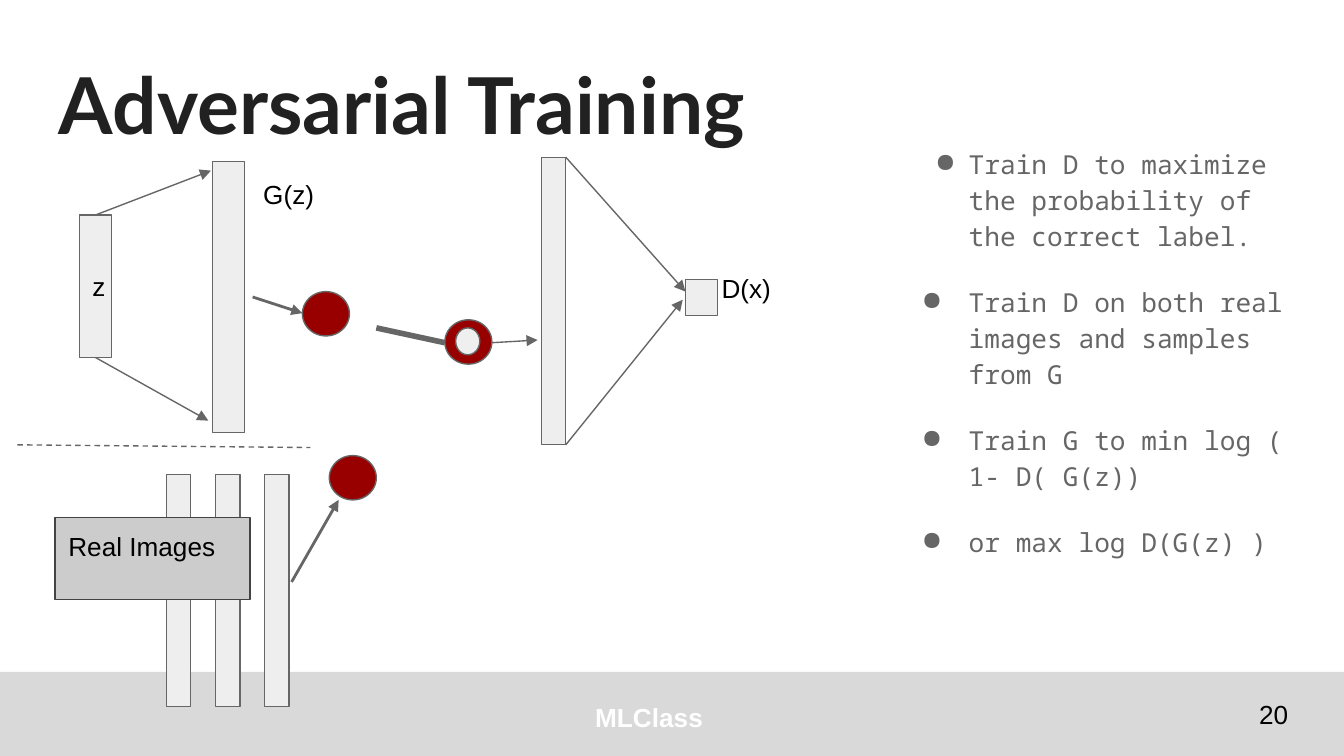
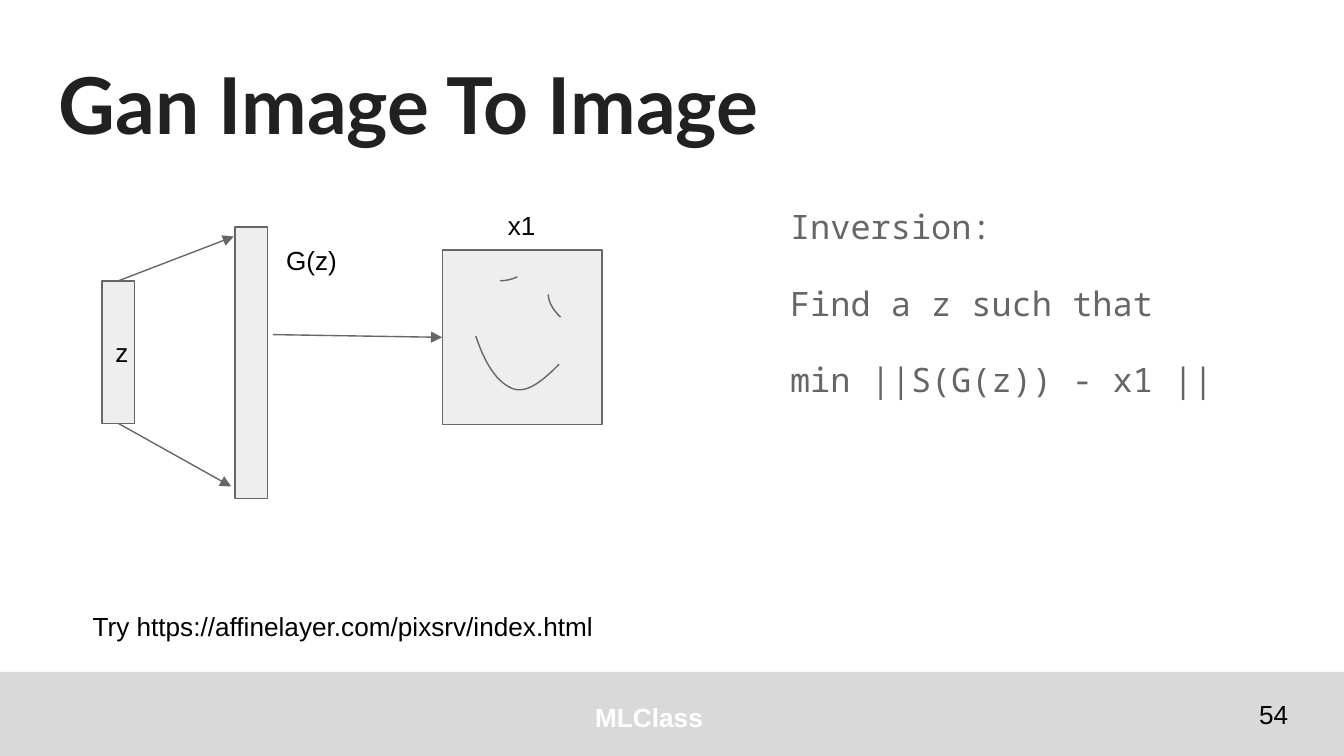
"""Build two slides on adversarial networks."""
from dataclasses import dataclass

from lxml.etree import SubElement as Sub
from pptx import Presentation
from pptx.dml.color import RGBColor as RGB
from pptx.enum.dml import MSO_LINE as Dash
from pptx.enum.shapes import MSO_CONNECTOR as Link, MSO_SHAPE as Kind
from pptx.enum.text import MSO_ANCHOR as Anchor, PP_ALIGN as Align
from pptx.oxml.ns import qn
from pptx.util import Emu, Pt

UNIT = 4572
PAD = 20


@dataclass(frozen=True)
class Theme:
    """Colours, fonts and type sizes."""
    band: str = "D9D9D9"
    white: str = "FFFFFF"
    black: str = "000000"
    head: str = "212121"
    gray: str = "666666"
    edge: str = "434343"
    pale: str = "EEEEEE"
    light: str = "EFEFEF"
    tag: str = "CCCCCC"
    red: str = "980000"
    sans: str = "Arial"
    bold: str = "Lato"
    mono: str = "Noto Sans Mono"
    small: int = 14
    large: int = 18
    huge: int = 42


def px(n):
    """Turn px into EMU."""
    return Emu(n * UNIT)


class Deck:
    """Hold the style and the current slide."""

    def __init__(self, theme):
        """Start a deck."""
        self.theme = theme
        self.file = Presentation()
        self.file.slide_width, self.file.slide_height = px(2000), px(1125)
        self.slide = None

    def page(self, title, num):
        """Add a slide with its band, title and number."""
        t = self.theme
        self.slide = self.file.slides.add_slide(self.file.slide_layouts[6])
        self.box(0, 1000, 2000, 125, fill=t.band, edge=None)
        self.text(800, 1024, 332, 80, "MLClass", color=t.white, bold=True, align=Align.CENTER)
        self.text(68, 64, 1864, 176, title, t.huge, t.bold, t.head, bold=True)
        self.text(1854, 1020, 120, 86, num, anchor=Anchor.MIDDLE)

    def frame(self, shape, anchor=Anchor.TOP):
        """Set the insets and return the text frame."""
        frame = shape.text_frame
        frame.word_wrap = True
        frame.vertical_anchor = anchor
        frame.margin_left = frame.margin_right = px(PAD)
        frame.margin_top = frame.margin_bottom = px(PAD)
        return frame

    def run(self, para, words, size=None, face=None, color=None, bold=False):
        """Add one styled run."""
        t = self.theme
        run = para.add_run()
        run.text = words
        run.font.size = Pt(size or t.small)
        run.font.name = face or t.sans
        run.font.bold = bold
        run.font.color.rgb = RGB.from_string(color or t.black)

    def text(self, x, y, w, h, words, size=None, face=None, color=None,
             bold=False, align=Align.LEFT, anchor=Anchor.TOP):
        """Add a text box of one line."""
        shape = self.slide.shapes.add_textbox(px(x), px(y), px(w), px(h))
        para = self.frame(shape, anchor).paragraphs[0]
        para.alignment = align
        self.run(para, words, size, face, color, bold)

    def body(self, x, y, w, h, rows, size, dents=()):
        """Add spaced paragraphs, with bullets where dents are given."""
        t = self.theme
        frame = self.frame(self.slide.shapes.add_textbox(px(x), px(y), px(w), px(h)))
        for i, words in enumerate(rows):
            para = frame.add_paragraph() if i else frame.paragraphs[0]
            if dents:
                props = para._p.get_or_add_pPr()
                props.set("marL", str(px(100)))
                props.set("indent", str(px(-dents[i])))
                Sub(Sub(props, qn("a:buClr")), qn("a:srgbClr"), val=t.gray)
                Sub(props, qn("a:buChar"), char="●")
            para.line_spacing = 1.15
            para.space_after = Pt(16)
            self.run(para, words, size, t.mono, t.gray)

    def box(self, x, y, w, h, words="", fill=None, edge=Theme.gray,
            kind=Kind.RECTANGLE, anchor=Anchor.MIDDLE):
        """Add a filled shape, with a label if given."""
        shape = self.slide.shapes.add_shape(kind, px(x), px(y), px(w), px(h))
        shape.shadow.inherit = False
        shape.fill.solid()
        shape.fill.fore_color.rgb = RGB.from_string(fill or self.theme.pale)
        if edge:
            self.ink(shape.line, edge)
        else:
            shape.line.fill.background()
        if words:
            para = self.frame(shape, anchor).paragraphs[0]
            para.alignment = Align.LEFT
            self.run(para, words)
        return shape

    def dot(self, x, y, w=70, h=66, fill=Theme.red):
        """Add an oval."""
        self.box(x, y, w, h, fill=fill, kind=Kind.OVAL)

    def ink(self, line, color, width=0.75):
        """Set the colour and width of a line."""
        line.color.rgb = RGB.from_string(color)
        line.width = Pt(width)

    def line(self, a, b, width=0.75, head=True, dash=False, start=None, stop=None):
        """Draw a line from a to b, joined to a (shape, site) pair if given."""
        link = self.slide.shapes.add_connector(Link.STRAIGHT, *map(px, a + b))
        self.ink(link.line, self.theme.gray, width)
        if dash:
            link.line.dash_style = Dash.DASH
        if head:
            Sub(link.line._get_or_add_ln(), qn("a:tailEnd"), type="triangle")
        Sub(link._element.spPr, qn("a:effectLst"))
        if start:
            link.begin_connect(*start)
        if stop:
            link.end_connect(*stop)

    def curve(self, *knots):
        """Draw joined cubic arcs through every third knot."""
        steps = 16
        spots = []
        for k in range(0, len(knots) - 1, 3):
            for i in range(1, steps + 1):
                u = i / steps
                v = 1 - u
                mix = (v ** 3, 3 * v * v * u, 3 * v * u * u, u ** 3)
                spots.append(tuple(round(UNIT * sum(m * p[d] for m, p in zip(mix, knots[k:k + 4])))
                                   for d in (0, 1)))
        pen = self.slide.shapes.build_freeform(*map(px, knots[0]))
        pen.add_line_segments(spots, close=False)
        shape = pen.convert_to_shape()
        shape.shadow.inherit = False
        shape.fill.background()
        self.ink(shape.line, self.theme.gray)

    def net(self, x, y):
        """Draw the generator with its z box at x, y."""
        seed = self.box(x, y, 48, 212, "z")
        self.box(x + 198, y - 80, 48, 404)
        self.line((x + 24, y + 212), (x + 192, y + 306), start=(seed, 2))
        self.line((x + 24, y), (x + 196, y - 66), start=(seed, 0))
        self.text(x + 254, y - 74, 198, 176, "G(z)")


def train(deck):
    """Build the training slide."""
    t = deck.theme
    deck.page("Adversarial Training", "20")
    deck.body(1322, 194, 608, 282, (
        "Train D to maximize the probability of the correct label.",
        "Train D on both real images and samples from G",
        "Train G to min log ( 1- D( G(z))",
        "or max log D(G(z) )"), t.small, (50, 70, 70, 70))
    deck.box(806, 234, 36, 428)
    deck.box(1020, 416, 48, 54)
    deck.line((842, 662), (1016, 446))
    deck.line((842, 234), (1020, 434))
    deck.net(118, 320)
    deck.text(1054, 386, 198, 176, "D(x)")
    for x in range(248, 395, 73):
        deck.box(x, 706, 36, 346)
    for x, y in ((450, 434), (490, 678), (662, 476)):
        deck.dot(x, y)
    deck.line((376, 442), (450, 466), 1.5)
    deck.line((434, 866), (504, 744), 1.5)
    deck.line((732, 510), (800, 506))
    deck.line((662, 510), (560, 488), 3, head=False)
    deck.dot(678, 488, 36, 40, t.light)
    deck.line((26, 662), (462, 666), head=False, dash=True)
    deck.box(82, 770, 290, 122, "Real Images", t.tag, t.edge, anchor=Anchor.TOP)


def invert(deck):
    """Build the inversion slide."""
    deck.page("Gan Image To Image", "54")
    deck.body(1156, 278, 816, 648, (
        "Inversion:", "Find a z such that", "min ||S(G(z)) - x1 ||"), deck.theme.large)
    deck.net(152, 418)
    deck.text(736, 292, 82, 94, "x1")
    face = deck.box(658, 372, 238, 260)
    deck.curve((708, 500), (718, 530), (734, 566), (762, 578),
               (786, 588), (814, 560), (832, 542))
    deck.curve((744, 418), (752, 418), (762, 416), (770, 412))
    deck.curve((816, 438), (816, 452), (826, 464), (834, 472))
    deck.text(118, 888, 1138, 94, "Try https://affinelayer.com/pixsrv/index.html")
    deck.line((406, 498), (658, 502), stop=(face, 1))


def main():
    """Build and save the deck."""
    deck = Deck(Theme())
    train(deck)
    invert(deck)
    deck.file.save("out.pptx")


if __name__ == "__main__":
    main()
